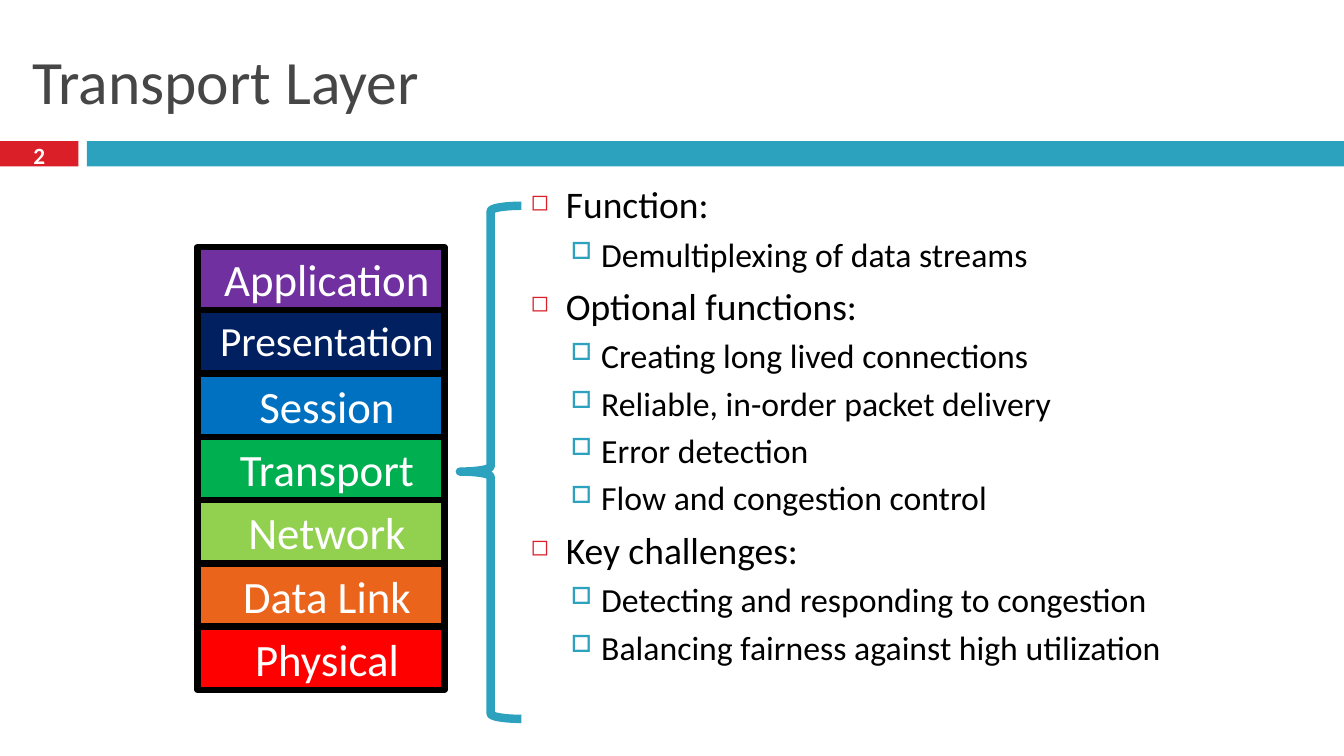
from pptx import Presentation
from pptx.dml.color import RGBColor
from pptx.enum.shapes import MSO_SHAPE
from pptx.enum.text import MSO_ANCHOR, PP_ALIGN
from pptx.oxml.ns import qn
from pptx.util import Pt
from lxml import etree

RECTANGLE = MSO_SHAPE.RECTANGLE
LEFT_BRACE = MSO_SHAPE.LEFT_BRACE
MIDDLE = MSO_ANCHOR.MIDDLE
TOP = MSO_ANCHOR.TOP
CENTER = PP_ALIGN.CENTER
LEFT = PP_ALIGN.LEFT

RED = RGBColor(0xDA, 0x1F, 0x28)
TEAL = RGBColor(0x2D, 0xA2, 0xBF)
GRAY = RGBColor(0x46, 0x46, 0x46)
BLACK = RGBColor(0, 0, 0)
WHITE = RGBColor(0xFF, 0xFF, 0xFF)

LAYERS = [
    ("Application", RGBColor(0x70, 0x30, 0xA0), 32),
    ("Presentation", RGBColor(0x00, 0x20, 0x60), 29.6),
    ("Session", RGBColor(0x00, 0x70, 0xC0), 32),
    ("Transport", RGBColor(0x00, 0xB0, 0x50), 32),
    ("Network", RGBColor(0x92, 0xD0, 0x50), 32),
    ("Data Link", RGBColor(0xEB, 0x64, 0x1B), 32),
    ("Physical", RGBColor(0xFF, 0x00, 0x00), 32),
]
LAYER_TOP, LAYER_HEIGHT = 176.4, 45.2

OUTLINE = [
    (0, "Function:"),
    (1, "Demultiplexing of data streams"),
    (0, "Optional functions:"),
    (1, "Creating long lived connections"),
    (1, "Reliable, in-order packet delivery"),
    (1, "Error detection"),
    (1, "Flow and congestion control"),
    (0, "Key challenges:"),
    (1, "Detecting and responding to congestion"),
    (1, "Balancing fairness against high utilization"),
]
LEVELS = [
    {"size": 26.8, "before": 6.5, "margin": 25.2, "hang": 25.2,
     "bullet": "◻", "color": RED, "percent": 60},
    {"size": 24.1, "before": 5, "margin": 50.4, "hang": 21.6,
     "bullet": "□", "color": TEAL, "percent": 70},
]

prs = Presentation()
prs.slide_width = Pt(960)
prs.slide_height = Pt(540)
slide = prs.slides.add_slide(prs.slide_layouts[6])


def add_box(kind, left, top, width, height, fill=None, line=None, line_width=0):
    box = slide.shapes.add_shape(kind, Pt(left), Pt(top), Pt(width), Pt(height))
    box.shadow.inherit = False
    if fill is None:
        box.fill.background()
    else:
        box.fill.solid()
        box.fill.fore_color.rgb = fill
    if line is None:
        box.line.fill.background()
    else:
        box.line.color.rgb = line
        box.line.width = Pt(line_width)
    return box


def write(paragraph, text, size, color, align=LEFT, bold=False):
    paragraph.alignment = align
    run = paragraph.add_run()
    run.text = text
    run.font.name = "Calibri"
    run.font.size = Pt(size)
    run.font.color.rgb = color
    run.font.bold = bold


add_box(RECTANGLE, 0, 100.8, 56, 18, RED)
add_box(RECTANGLE, 62, 100.8, 898, 18, TEAL)

title = slide.shapes.add_textbox(Pt(16), Pt(18), Pt(928), Pt(78)).text_frame
title.word_wrap = True
title.vertical_anchor = MIDDLE
write(title.paragraphs[0], "Transport Layer", 44, GRAY)

page_number = slide.shapes.add_textbox(Pt(0), Pt(99), Pt(56), Pt(24)).text_frame
page_number.word_wrap = True
page_number.vertical_anchor = MIDDLE
write(page_number.paragraphs[0], "2", 16.6, WHITE, CENTER, True)

outline = slide.shapes.add_textbox(Pt(372), Pt(126), Pt(467.5), Pt(402)).text_frame
outline.word_wrap = True
for index, (level, text) in enumerate(OUTLINE):
    style = LEVELS[level]
    item = outline.add_paragraph() if index else outline.paragraphs[0]
    item.level = level
    if index:
        item.space_before = Pt(style["before"])
    properties = item._p.get_or_add_pPr()
    properties.set("marL", str(Pt(style["margin"])))
    properties.set("indent", str(-Pt(style["hang"])))
    bullet_color = etree.SubElement(properties, qn("a:buClr"))
    etree.SubElement(bullet_color, qn("a:srgbClr"), val=str(style["color"]))
    etree.SubElement(properties, qn("a:buSzPct"), val=str(style["percent"] * 1000))
    etree.SubElement(properties, qn("a:buChar"), char=style["bullet"])
    write(item, text, style["size"], BLACK)

for row, (name, color, size) in enumerate(LAYERS):
    layer = add_box(RECTANGLE, 141, LAYER_TOP + row * LAYER_HEIGHT,
                    176.5, LAYER_HEIGHT, color, BLACK, 4.5)
    label = layer.text_frame
    label.word_wrap = True
    label.vertical_anchor = TOP
    label.margin_left = label.margin_right = Pt(4)
    label.paragraphs[0]._p.get_or_add_pPr().set("marL", str(Pt(8.64)))
    write(label.paragraphs[0], name, size, WHITE, CENTER)

brace = add_box(LEFT_BRACE, 328.5, 147, 44, 366.5, None, TEAL, 6)
brace.adjustments[0] = 0.083
brace.adjustments[1] = 0.518

prs.save("out.pptx")
